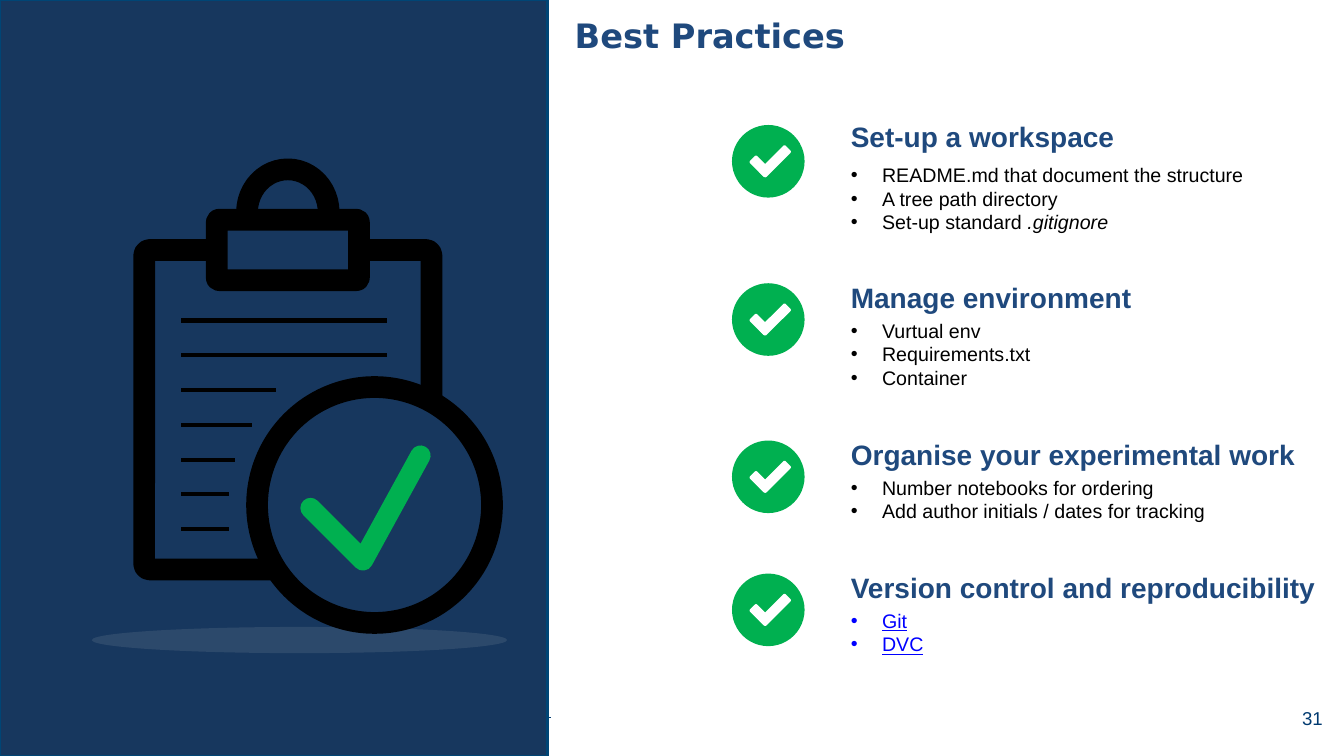
"""Build the Best Practices slide with a clipboard drawing and four checked sections."""
import pptx
import pptx.dml.color
import pptx.enum.shapes
import pptx.enum.text
import pptx.oxml.ns
import pptx.util
import lxml.etree

SHAPES = pptx.enum.shapes.MSO_SHAPE
ALIGN = pptx.enum.text.PP_ALIGN
ANCHOR = pptx.enum.text.MSO_ANCHOR
FIT = pptx.enum.text.MSO_AUTO_SIZE

WIDTH, HEIGHT = 13.33, 7.5
NAVY, BLUE, GREEN, BLACK, WHITE, LINK = "17375E", "1F497D", "00B050", "000000", "FFFFFF", "0000FF"
PAGE_BLUE = "003A70"

TITLE = "Best Practices"
PAGE_NUMBER = "31"
SECTIONS = [
    {"top": 1.24, "heading": "Set-up a workspace", "text_tops": (1.14, 1.57),
     "widths": (3.04, 4.72),
     "items": [["README.md that document the structure"], ["A tree path directory"],
               ["Set-up standard ", ".gitignore"]]},
    {"top": 2.81, "heading": "Manage environment", "text_tops": (2.73, 3.11),
     "widths": (3.67, 3.39),
     "items": [["Vurtual env"], ["Requirements.txt"], ["Container"]]},
    {"top": 4.37, "heading": "Organise your experimental work", "text_tops": (4.29, 4.67),
     "widths": (4.72, 3.86),
     "items": [["Number notebooks for ordering"], ["Add author initials / dates for tracking"]]},
    {"top": 5.69, "heading": "Version control and reproducibility", "text_tops": (5.61, 5.99),
     "widths": (4.87, 3.86), "items": [["Git"], ["DVC"]]},
]
LINKED = {"Git", "DVC"}
ITALIC = {".gitignore"}

PANEL_WIDTH = 5.43
BADGE_LEFT, BADGE_SIZE, TEXT_LEFT = 7.26, 0.72, 8.34
TICK_PARTS = [(0.17, 0.36, 0.22, 45), (0.24, 0.31, 0.37, 135)]
TICK_THICKNESS = 0.1
INDENT, ITEM_HEIGHT = 0.31, 0.24

STROKE = 15.5
CLIPBOARD = [
    (SHAPES.ROUNDED_RECTANGLE, (1.43, 2.48, 2.85, 3.17), 0.02),
    (SHAPES.OVAL, (2.45, 1.68, 0.81, 0.85), None),
    (SHAPES.ROUNDED_RECTANGLE, (2.15, 2.18, 1.41, 0.6), 0.04),
]
LENS = (2.55, 3.84, 2.33, 2.34)
CHECK_HUNDREDTHS = [(308, 504), (360, 556), (417, 452)]
WRITING_LEFT, WRITING_TOP, WRITING_STEP = 1.8, 3.18, 0.345
WRITING_ENDS = [3.84, 3.84, 2.74, 2.5, 2.33, 2.27, 2.27]

inches = pptx.util.Inches
presentation = pptx.Presentation()
presentation.slide_width, presentation.slide_height = inches(WIDTH), inches(HEIGHT)
slide = presentation.slides.add_slide(presentation.slide_layouts[5])


def color(value):
    return pptx.dml.color.RGBColor.from_string(value)


def add_element(parent, tag, **attributes):
    element = lxml.etree.SubElement(parent, pptx.oxml.ns.qn(tag))
    for name, value in attributes.items():
        element.set(name, value)
    return element


def style_shape(shape, fill=None, line=None, width=2):
    shape.shadow.inherit = False
    if fill:
        shape.fill.solid()
        shape.fill.fore_color.rgb = color(fill)
    else:
        shape.fill.background()
    if line:
        shape.line.color.rgb = color(line)
        shape.line.width = pptx.util.Pt(width)
    else:
        shape.line.fill.background()
    return shape


def draw_shape(kind, box, fill, line=None, width=2):
    shape = slide.shapes.add_shape(kind, *map(inches, box))
    return style_shape(shape, fill, line, width)


def draw_rule(left, right, top, line, width):
    rule = slide.shapes.add_connector(pptx.enum.shapes.MSO_CONNECTOR.STRAIGHT,
                                      *map(inches, (left, top, right, top)))
    rule.line.color.rgb = color(line)
    rule.line.width = pptx.util.Pt(width)
    add_element(rule._element.spPr, "a:effectLst")


def add_run(paragraph, text, size, value, font="Arial", bold=False):
    run = paragraph.add_run()
    run.text = text
    run.font.name, run.font.size, run.font.bold = font, pptx.util.Pt(size), bold
    run.font.color.rgb = color(value)
    return run


def add_text_box(box, fit=FIT.SHAPE_TO_FIT_TEXT):
    frame = slide.shapes.add_textbox(*map(inches, box)).text_frame
    frame.word_wrap = True
    frame.auto_size = fit
    return frame


def place_title():
    title = slide.shapes.title
    title.left, title.top, title.width, title.height = map(inches, (5.6, 0.1, 7.73, 0.95))
    frame = title.text_frame
    frame.vertical_anchor, frame.auto_size = ANCHOR.TOP, FIT.NONE
    frame.paragraphs[0].alignment = ALIGN.LEFT
    add_run(frame.paragraphs[0], TITLE, 24, BLUE, "DejaVu Sans", True)


def draw_footer():
    draw_rule(1.55, 12.12, 7.12, PAGE_BLUE, 0.75)
    draw_shape(SHAPES.RECTANGLE, (5.48, 6.66, 7.26, 0.84), WHITE, WHITE)
    frame = add_text_box((12.72, 6.92, 0.53, 0.4), FIT.NONE)
    frame.margin_left = frame.margin_right = inches(0.13)
    frame.vertical_anchor = ANCHOR.MIDDLE
    frame.word_wrap = False
    frame.paragraphs[0].alignment = ALIGN.RIGHT
    add_run(frame.paragraphs[0], PAGE_NUMBER, 13.3, PAGE_BLUE)


def draw_panel():
    draw_shape(SHAPES.RECTANGLE, (0, 0, PANEL_WIDTH, HEIGHT), NAVY, "004575")
    ground = draw_shape(SHAPES.OVAL, (0.91, 6.22, 4.12, 0.26), "EEECE1")
    fill_color = ground._element.spPr.find(".//" + pptx.oxml.ns.qn("a:srgbClr"))
    add_element(fill_color, "a:alpha", val="10000")
    for kind, box, corner in CLIPBOARD:
        part = draw_shape(kind, box, NAVY, BLACK, STROKE)
        if corner is not None:
            part.adjustments[0] = corner
    for row, end in enumerate(WRITING_ENDS):
        draw_rule(WRITING_LEFT, end, WRITING_TOP + row * WRITING_STEP, BLACK, 3)
    draw_shape(SHAPES.OVAL, LENS, NAVY, BLACK, STROKE)
    builder = slide.shapes.build_freeform(*CHECK_HUNDREDTHS[0], scale=inches(0.01))
    builder.add_line_segments(CHECK_HUNDREDTHS[1:], close=False)
    check = style_shape(builder.convert_to_shape(), None, GREEN, STROKE - 1)
    outline = check.line._get_or_add_ln()
    outline.set("cap", "rnd")
    add_element(outline, "a:round")


def draw_badge(top):
    draw_shape(SHAPES.OVAL, (BADGE_LEFT, top, BADGE_SIZE, BADGE_SIZE), GREEN)
    for across, down, length, angle in TICK_PARTS:
        box = (BADGE_LEFT + across, top + down, length, TICK_THICKNESS)
        draw_shape(SHAPES.ROUNDED_RECTANGLE, box, WHITE).rotation = angle


def draw_section(section):
    heading_width, list_width = section["widths"]
    heading_top, list_top = section["text_tops"]
    items = section["items"]
    draw_badge(section["top"])
    heading = add_text_box((TEXT_LEFT, heading_top, heading_width, 0.44))
    add_run(heading.paragraphs[0], section["heading"], 20, BLUE, bold=True)
    frame = add_text_box((TEXT_LEFT, list_top, list_width, len(items) * ITEM_HEIGHT + 0.09))
    for index, pieces in enumerate(items):
        paragraph = frame.add_paragraph() if index else frame.paragraphs[0]
        properties = paragraph._p.get_or_add_pPr()
        properties.set("marL", str(inches(INDENT)))
        properties.set("indent", str(-inches(INDENT)))
        add_element(properties, "a:buFont", typeface="Arial")
        add_element(properties, "a:buChar", char="•")
        for piece in pieces:
            run = add_run(paragraph, piece, 14, LINK if piece in LINKED else BLACK)
            run.font.italic = piece in ITALIC
            run.font.underline = piece in LINKED


def main():
    place_title()
    draw_footer()
    draw_panel()
    for section in SECTIONS:
        draw_section(section)
    presentation.save("out.pptx")


if __name__ == "__main__":
    main()
